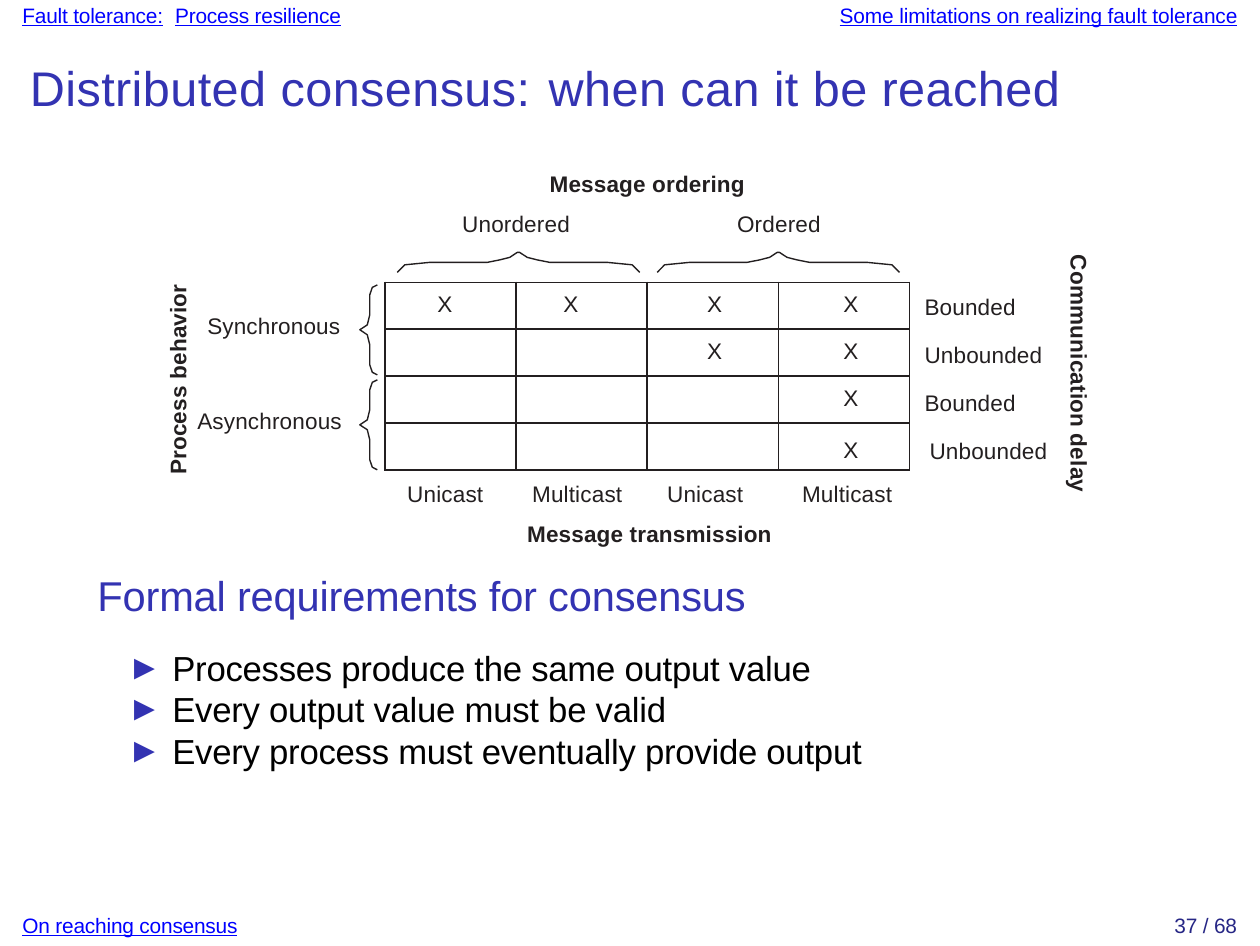
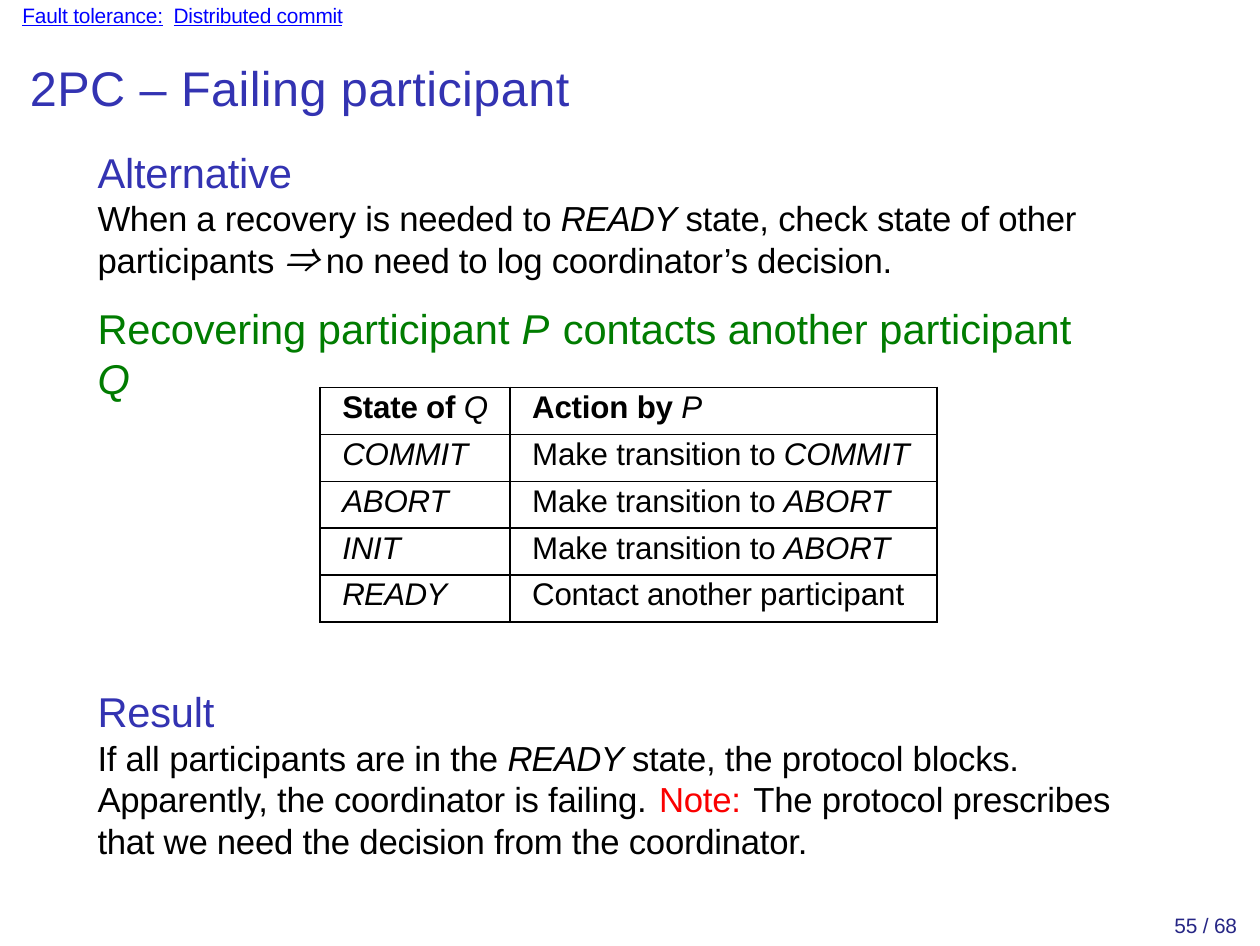
"""Builds two slides on distributed consensus and two-phase commit."""
from dataclasses import dataclass, field

from lxml import etree
from pptx import Presentation
from pptx.dml.color import RGBColor
from pptx.enum.text import MSO_AUTO_SIZE, PP_ALIGN
from pptx.oxml.ns import qn
from pptx.util import Inches, Pt

LEFT, RIGHT = PP_ALIGN.LEFT, PP_ALIGN.RIGHT
NO_AUTOFIT = MSO_AUTO_SIZE.NONE
SANS, SYMBOLS = "Arial", "Noto Sans CJK JP"
BLUE, LINK, PAGE, INK = "3333B2", "0000FF", "262685", "231F20"
BLACK, GREEN, RED = "000000", "007C00", "FA0000"
SLIDE_WIDTH, SLIDE_HEIGHT = Pt(363), Pt(272.5)
LEFT_EDGE, RIGHT_EDGE, HEADER_TOP, FOOTER_TOP = 0.09, 4.95, 0.01, 3.65
SMALL, LABEL_SIZE, CELL_SIZE, BODY, HEADING, TITLE = 6, 6.5, 9, 10, 12, 14


@dataclass
class Run:
    text: str
    italic: bool = False
    bold: bool = False
    underline: bool = False
    color: str = ""
    spacing: float | None = None
    font: str = SANS


@dataclass
class Line:
    runs: list[Run]
    size: float = BODY
    color: str = BLACK
    spacing: float = -0.05
    align: PP_ALIGN = LEFT
    leading: float = 0
    before: float = 0
    bullet: bool = False


@dataclass
class Box:
    left: float
    top: float
    width: float
    height: float
    lines: list[Line] = field(default_factory=list)
    direction: str = "horz"


@dataclass
class Cell:
    line: Line
    left: float
    top: float


@dataclass
class Brace:
    left: float
    top: float
    span: float
    profile: list[tuple[float, float]]
    upright: bool


SIDE_PROFILE = [(0, 0.07), (0.01, 0.05), (0.04, 0.04), (0.08, 0.04),
                (0.12, 0.04), (0.16, 0.03), (0.18, 0)]
TOP_PROFILE = [(0, 0.08), (0.03, 0.05), (0.13, 0.04), (0.25, 0.04),
               (0.36, 0.04), (0.41, 0.03), (0.45, 0.02), (0.48, 0)]


def rgb(color: str) -> RGBColor:
    """Turn a hex string into a colour."""
    return RGBColor.from_string(color)


def add_bullet(paragraph) -> None:
    """Give a paragraph a hanging triangle bullet."""
    properties = paragraph._p.get_or_add_pPr()
    properties.set("marL", str(Inches(0.3)))
    properties.set("indent", str(Inches(-0.18)))
    bullet_color = etree.SubElement(properties, qn("a:buClr"))
    etree.SubElement(bullet_color, qn("a:srgbClr"), val=BLUE)
    etree.SubElement(properties, qn("a:buFont"), typeface=SANS)
    etree.SubElement(properties, qn("a:buChar"), char="►")


def write_line(paragraph, line: Line) -> None:
    """Write one paragraph run by run."""
    if line.bullet:
        add_bullet(paragraph)
    paragraph.alignment = line.align
    if line.leading:
        paragraph.line_spacing = Pt(line.leading)
    if line.before:
        paragraph.space_before = Pt(line.before)
    for part in line.runs:
        run = paragraph.add_run()
        run.text = part.text
        font = run.font
        font.name, font.size = part.font, Pt(line.size)
        font.bold, font.italic, font.underline = part.bold, part.italic, part.underline
        font.color.rgb = rgb(part.color or line.color)
        spacing = line.spacing if part.spacing is None else part.spacing
        properties = run._r.get_or_add_rPr()
        properties.set("spc", str(round(spacing * 100)))
        etree.SubElement(properties, qn("a:ea"), typeface=part.font)
    if not line.runs:
        etree.SubElement(paragraph._p, qn("a:endParaRPr"), sz=str(round(line.size * 100)))


def add_text(slide, box: Box) -> None:
    """Add a text box without insets."""
    shape = slide.shapes.add_textbox(
        Inches(box.left), Inches(box.top), Inches(box.width), Inches(box.height))
    frame = shape.text_frame
    frame.word_wrap = True
    frame.auto_size = NO_AUTOFIT
    frame.margin_left = frame.margin_right = frame.margin_top = frame.margin_bottom = 0
    frame._txBody.bodyPr.set("vert", box.direction)
    for index, line in enumerate(box.lines):
        write_line(frame.add_paragraph() if index else frame.paragraphs[0], line)


def add_label(slide, text: str, left: float, top: float, bold: bool = False) -> None:
    """Add a one-line label of the figure."""
    line = Line([Run(text, bold=bold)], LABEL_SIZE, INK, 0.05)
    add_text(slide, Box(left, top, 1.1, 0.12, [line]))


def add_side_label(slide, text: str, left: float, top: float, height: float,
                   direction: str) -> None:
    """Add a bold label that runs up or down."""
    line = Line([Run(text, bold=True)], LABEL_SIZE, INK, 0.05, leading=7.5)
    add_text(slide, Box(left, top, 0.12, height, [line], direction))


def add_brace(slide, brace: Brace) -> None:
    """Draw a brace from half a profile and its mirror."""
    mirrored = [(brace.span - along, across) for along, across in reversed(brace.profile)]
    points = []
    for along, across in brace.profile + mirrored:
        x, y = (across, along) if brace.upright else (along, across)
        points.append((Inches(brace.left + x), Inches(brace.top + y)))
    builder = slide.shapes.build_freeform(*points[0])
    builder.add_line_segments(points[1:], close=False)
    shape = builder.convert_to_shape()
    shape.shadow.inherit = False
    shape.fill.background()
    shape.line.color.rgb = rgb(INK)
    shape.line.width = Pt(0.41)


def add_border(cell, color: str) -> None:
    """Draw a thin line on each side of a cell."""
    properties = cell._tc.get_or_add_tcPr()
    for side in ("lnL", "lnR", "lnT", "lnB"):
        border = etree.SubElement(properties, qn(f"a:{side}"), w=str(Pt(0.5)))
        fill = etree.SubElement(border, qn("a:solidFill"))
        etree.SubElement(fill, qn("a:srgbClr"), val=color)


def add_grid(slide, box: Box, widths: list[float], rows: list[list[Cell]],
             color: str) -> None:
    """Add a bordered table with equal row heights."""
    table = slide.shapes.add_table(
        len(rows), len(widths), Inches(box.left), Inches(box.top),
        Inches(box.width), Inches(box.height)).table
    table.first_row = table.horz_banding = False
    for column, width in zip(table.columns, widths):
        column.width = Inches(width)
    for row, contents in zip(table.rows, rows):
        row.height = Inches(box.height / len(rows))
        for cell, content in zip(row.cells, contents):
            cell.margin_left, cell.margin_top = Inches(content.left), Inches(content.top)
            cell.margin_right = cell.margin_bottom = 0
            add_border(cell, color)
            cell.fill.background()
            write_line(cell.text_frame.paragraphs[0], content.line)


def add_link(slide, left: float, top: float, runs: list[Run],
             align: PP_ALIGN = LEFT) -> None:
    """Add small underlined text of the header or footer."""
    add_text(slide, Box(left, top, 1.8, 0.12, [Line(runs, SMALL, LINK, align=align)]))


def start_slide(presentation, section: str, gap: float, title: list[Run], page: int):
    """Add a slide with its header, title and page number."""
    slide = presentation.slides.add_slide(presentation.slide_layouts[6])
    add_link(slide, LEFT_EDGE, HEADER_TOP, [
        Run("Fault tolerance:", underline=True), Run(" ", spacing=gap),
        Run(section, underline=True)])
    add_text(slide, Box(0.12, 0.23, 4.7, 0.25, [Line(title, TITLE, BLUE, 0.1)]))
    number = Line([Run(f"{page} / 68")], SMALL, PAGE, align=RIGHT)
    add_text(slide, Box(RIGHT_EDGE - 0.5, FOOTER_TOP, 0.5, 0.12, [number]))
    return slide


def build_consensus_slide(presentation) -> None:
    """Show when distributed consensus can be reached."""
    title = [Run("Distributed consensus:"), Run(" ", spacing=1), Run("when can it be reached")]
    slide = start_slide(presentation, "Process resilience", 1.8, title, 37)
    add_link(slide, RIGHT_EDGE - 1.8, HEADER_TOP,
             [Run("Some limitations on realizing fault tolerance", underline=True,
                  spacing=-0.03)], RIGHT)
    add_link(slide, LEFT_EDGE, FOOTER_TOP, [Run("On reaching consensus", underline=True)])

    marks = ["XXXX", "  XX", "   X", "   X"]
    mark_lefts = [0.21, 0.19, 0.24, 0.26]
    mark_tops = [0.04, 0.04, 0.04, 0.06]
    rows = [[Cell(Line([Run(mark)] if mark == "X" else [], LABEL_SIZE, INK, 0), left, top)
             for mark, left in zip(row, mark_lefts)]
            for row, top in zip(marks, mark_tops)]
    add_grid(slide, Box(1.54, 1.13, 2.1, 0.75), [2.1 / 4] * 4, rows, INK)

    for top in (1.14, 1.52):
        add_brace(slide, Brace(1.44, top, 0.36, SIDE_PROFILE, True))
    for left in (1.59, 2.63):
        add_brace(slide, Brace(left, 1.01, 0.97, TOP_PROFILE, False))

    add_label(slide, "Message ordering", 2.2, 0.68, True)
    add_label(slide, "Unordered", 1.85, 0.84)
    add_label(slide, "Ordered", 2.95, 0.84)
    add_label(slide, "Synchronous", 0.83, 1.25)
    add_label(slide, "Asynchronous", 0.79, 1.63)
    for index, left in enumerate((3.7, 3.7, 3.7, 3.72)):
        add_label(slide, ("Bounded", "Unbounded")[index % 2], left, 1.17 + 0.58 * index / 3)
    for index, left in enumerate((1.63, 2.13, 2.67, 3.21)):
        add_label(slide, ("Unicast", "Multicast")[index % 2], left, 1.92)
    add_label(slide, "Message transmission", 2.11, 2.08, True)
    add_side_label(slide, "Communication delay", 4.25, 1.02, 0.98, "vert")
    add_side_label(slide, "Process behavior", 0.66, 1.1, 0.8, "vert270")

    requirements = ["Processes produce the same output value",
                    "Every output value must be valid",
                    "Every process must eventually provide output"]
    lines = [Line([Run("Formal requirements for consensus")], HEADING, BLUE)]
    for index, text in enumerate(requirements):
        lines.append(Line([Run(text)], leading=12, before=0 if index else 7.7, bullet=True))
    add_text(slide, Box(0.39, 2.28, 3.6, 0.82, lines))


def build_commit_slide(presentation) -> None:
    """Show how two-phase commit handles a failing participant."""
    slide = start_slide(presentation, "Distributed commit", 1.4,
                        [Run("2PC – Failing participant")], 55)
    ready = Run("READY ", italic=True, spacing=-0.2)
    add_text(slide, Box(0.39, 0.59, 4.05, 1.05, [
        Line([Run("Alternative")], HEADING, BLUE, leading=14.1),
        Line([Run("When a recovery is needed to "), ready,
              Run("state, check state of other "), Run("participants ", spacing=0),
              Run("⇒ ", italic=True, font=SYMBOLS),
              Run("no need to log coordinator’s decision.")], leading=12, before=0.1),
        Line([Run("Recovering"), Run(" participant ", spacing=0),
              Run("P ", italic=True, spacing=0.5), Run("contacts another"),
              Run(" participant ", spacing=0), Run("Q", italic=True)],
             HEADING, GREEN, before=6.5)]))

    transition = Run("Make transition to ")
    entries = [([Run("State of ", bold=True), Run("Q", italic=True)],
                [Run("Action by ", bold=True), Run("P", italic=True)])]
    for state, target in (("COMMIT", "COMMIT"), ("ABORT", "ABORT"), ("INIT", "ABORT")):
        entries.append(([Run(state, italic=True)], [transition, Run(target, italic=True)]))
    entries.append(([Run("READY", italic=True, spacing=-0.2)],
                    [Run("Contact another "), Run("participant", spacing=0)]))
    rows = [[Cell(Line(runs, CELL_SIZE), 0.09, 0.01) for runs in entry] for entry in entries]
    add_grid(slide, Box(1.28, 1.55, 2.47, 0.94), [0.76, 1.71], rows, BLACK)

    add_text(slide, Box(0.39, 2.75, 4.11, 0.72, [
        Line([Run("Result")], HEADING, BLUE, leading=14.1),
        Line([Run("If all "), Run("participants ", spacing=0), Run("are in the "), ready,
              Run("state, the protocol blocks. Apparently, the coordinator is failing."),
              Run(" ", spacing=0.8), Run("Note:", color=RED), Run(" ", spacing=0.8),
              Run("The protocol prescribes that we need the decision from the coordinator.")],
             leading=12, before=0.1)]))


def main() -> None:
    """Build and save the presentation."""
    presentation = Presentation()
    presentation.slide_width = SLIDE_WIDTH
    presentation.slide_height = SLIDE_HEIGHT
    build_consensus_slide(presentation)
    build_commit_slide(presentation)
    presentation.save("out.pptx")


if __name__ == "__main__":
    main()
